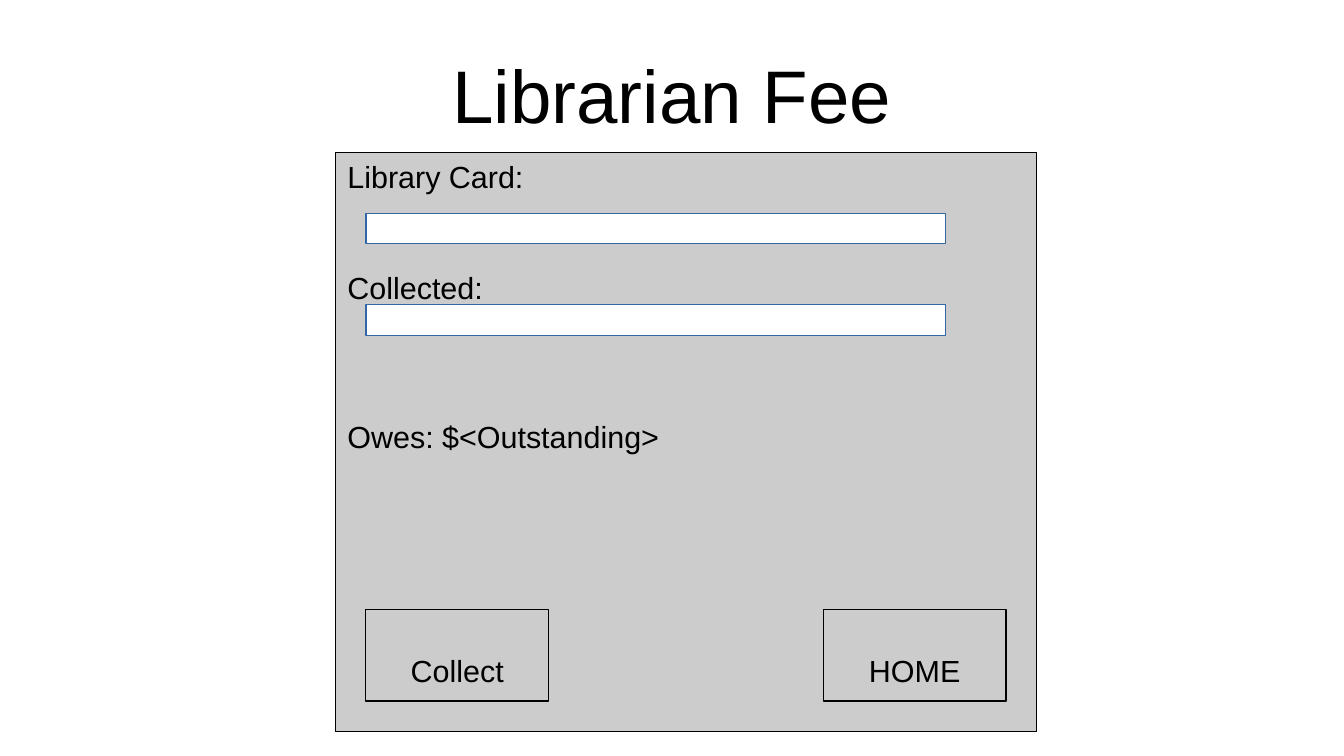
import dataclasses

import pptx
import pptx.dml.color
import pptx.enum.shapes
import pptx.enum.text
import pptx.util

ALIGN = pptx.enum.text.PP_ALIGN
ANCHOR = pptx.enum.text.MSO_ANCHOR
CELL = 0.25  # inches per grid column and row


@dataclasses.dataclass(frozen=True)
class Theme:
    font: str = "Arial"
    ink: str = "000000"
    panel: str = "CCCCCC"
    field: str = "FFFFFF"
    field_line: str = "3465A4"
    title_size: float = 44
    text_size: float = 18
    blank_line: float = 22


@dataclasses.dataclass(frozen=True)
class Area:
    """A rectangle in grid columns and rows."""
    column: float
    row: float
    columns: float
    rows: float


@dataclasses.dataclass(frozen=True)
class Label:
    text: str
    blank_lines_before: int


@dataclasses.dataclass(frozen=True)
class Button:
    text: str
    column: float


THEME = Theme()
PANEL = Area(11, 5, 23, 19)
LABELS = [Label("Library Card:", 0), Label("Collected:", 2), Label("Owes: $<Outstanding>", 3)]
FIELDS = [Area(12, row, 19, 1) for row in (7, 10)]
BUTTONS = [Button("Collect", 12), Button("HOME", 27)]


def grid(count: float) -> pptx.util.Length:
    return pptx.util.Inches(count * CELL)


def rgb(code: str) -> pptx.dml.color.RGBColor:
    return pptx.dml.color.RGBColor.from_string(code)


def write(para, text: str, *, size: float = THEME.text_size,
          align: ALIGN = ALIGN.LEFT, before: float = 0) -> None:
    para.alignment = align
    para.space_before = pptx.util.Pt(before)
    span = para.add_run()
    span.text = text
    span.font.name = THEME.font
    span.font.size = pptx.util.Pt(size)
    span.font.color.rgb = rgb(THEME.ink)


def add_box(page, area: Area, fill: str, line: str):
    box = page.shapes.add_shape(
        pptx.enum.shapes.MSO_SHAPE.RECTANGLE,
        grid(area.column), grid(area.row), grid(area.columns), grid(area.rows))
    box.shadow.inherit = False
    box.fill.solid()
    box.fill.fore_color.rgb = rgb(fill)
    box.line.color.rgb = rgb(line)
    box.line.width = pptx.util.Pt(0)
    return box


def add_title(page, text: str) -> None:
    title = page.shapes.title
    title.left, title.top, title.width, title.height = map(
        pptx.util.Inches, (0.55, 0.25, 9.92, 1.04))
    frame = title.text_frame
    frame.margin_left = frame.margin_right = frame.margin_top = frame.margin_bottom = 0
    frame.auto_size = pptx.enum.text.MSO_AUTO_SIZE.NONE
    frame.vertical_anchor = ANCHOR.MIDDLE
    write(frame.paragraphs[0], text, size=THEME.title_size, align=ALIGN.CENTER)


def add_panel(page) -> None:
    frame = add_box(page, PANEL, THEME.panel, THEME.ink).text_frame
    frame.vertical_anchor = ANCHOR.TOP
    for index, label in enumerate(LABELS):
        para = frame.add_paragraph() if index else frame.paragraphs[0]
        write(para, label.text, before=label.blank_lines_before * THEME.blank_line)


def add_button(page, button: Button) -> None:
    box = add_box(page, Area(button.column, 20, 6, 3), THEME.panel, THEME.ink)
    frame = box.text_frame
    frame.vertical_anchor = ANCHOR.BOTTOM
    frame.margin_bottom = pptx.util.Inches(0.1)
    write(frame.paragraphs[0], button.text, align=ALIGN.CENTER)


def main() -> None:
    deck = pptx.Presentation()
    deck.slide_width = pptx.util.Inches(11.02)
    deck.slide_height = pptx.util.Inches(6.2)
    page = deck.slides.add_slide(deck.slide_layouts.get_by_name("Title Only"))
    add_title(page, "Librarian Fee")
    add_panel(page)
    for field in FIELDS:
        add_box(page, field, THEME.field, THEME.field_line)
    for button in BUTTONS:
        add_button(page, button)
    deck.save("out.pptx")


if __name__ == "__main__":
    main()
